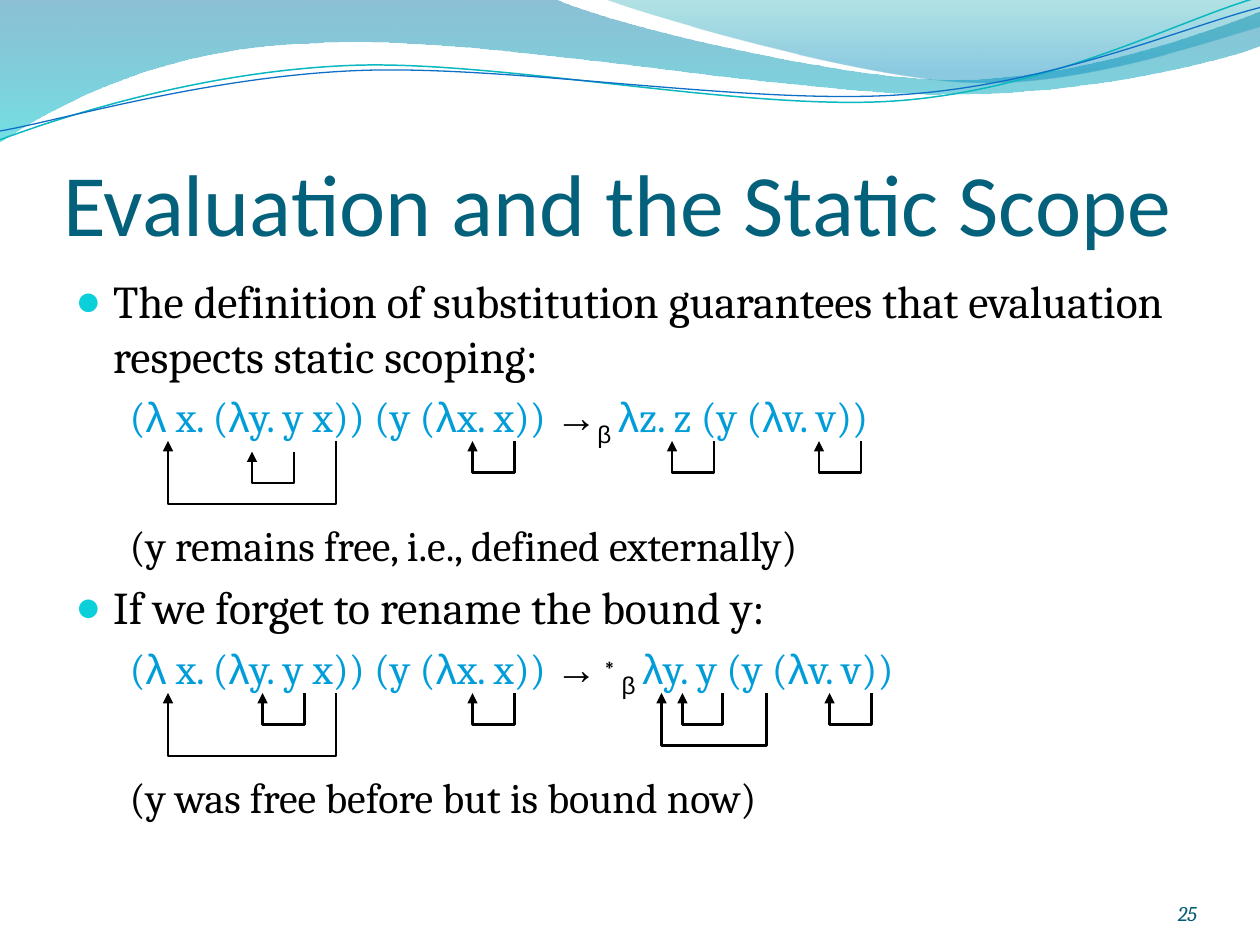
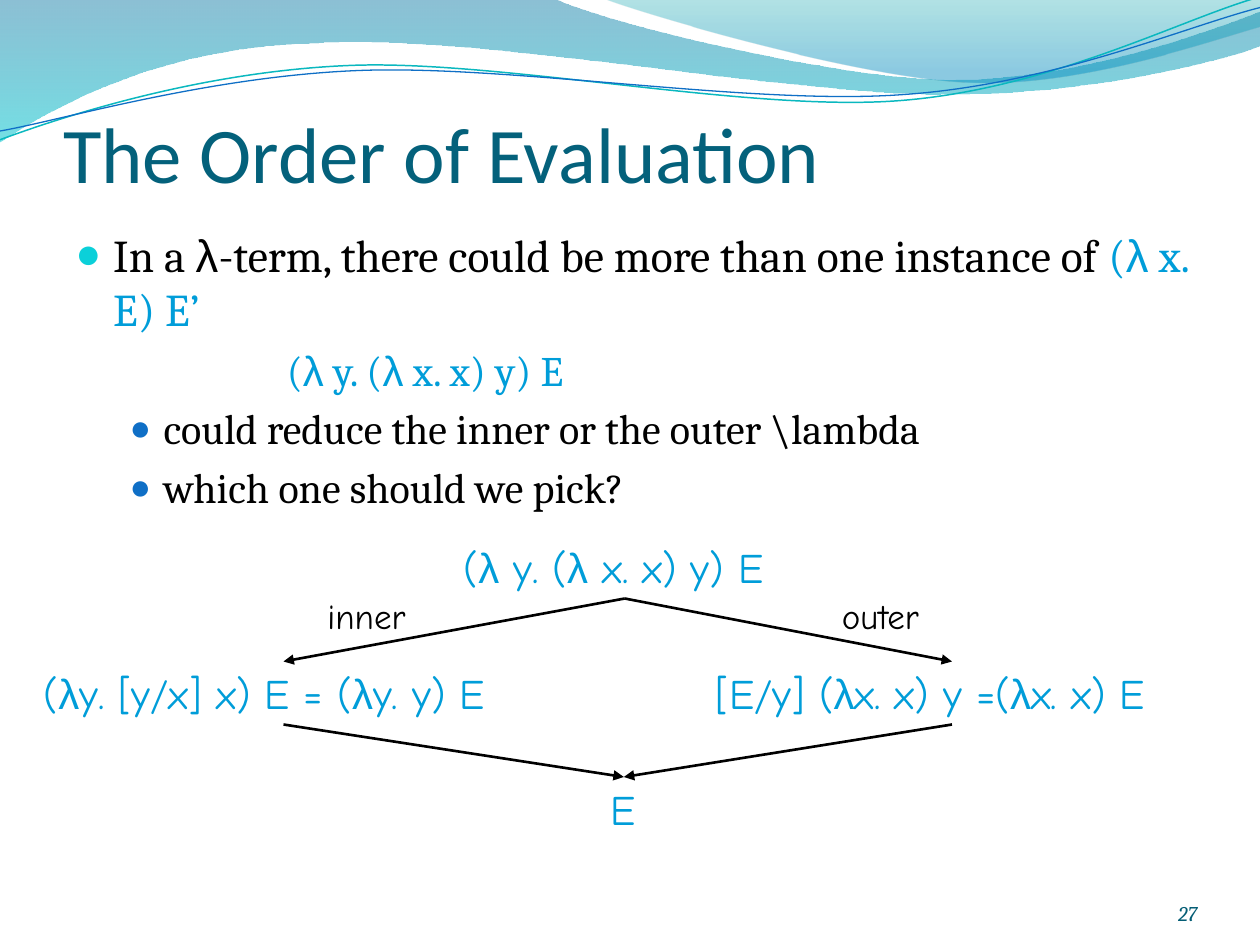
from dataclasses import dataclass
from itertools import groupby

from lxml.etree import SubElement
from pptx import Presentation
from pptx.dml.color import RGBColor
from pptx.enum.shapes import MSO_CONNECTOR as Connector
from pptx.enum.text import MSO_ANCHOR as Anchor, MSO_AUTO_SIZE as AutoSize, PP_ALIGN as Align
from pptx.oxml.ns import qn
from pptx.util import Pt


@dataclass(frozen=True)
class Theme:
    black: str = "000000"
    title: str = "04617B"
    number: str = "045D75"
    term: str = "009DD9"
    bullet: str = "0BD0D9"
    sub_bullet: str = "0F6FC6"
    heading_font: str = "Calibri"
    body_font: str = "Cambria"
    symbol_font: str = "Arial"
    diagram_font: str = "Comic Neue"
    point_size: int = 26
    sub_size: int = 24
    label_size: int = 20
    number_size: int = 12
    line_width: float = 1.5


THEME = Theme()
SYMBOLS = "λ→β∗"

LEVELS = {
    "point": {"size": THEME.point_size, "margin": 21.6, "indent": -21.6,
              "bullet": (THEME.bullet, 95), "before": 5.2},
    "sub": {"size": THEME.sub_size, "margin": 50.4, "indent": -19.44,
            "bullet": (THEME.sub_bullet, 85), "before": 4.8},
    "term": {"size": THEME.sub_size, "margin": 50.4, "indent": -19.44,
             "bullet": None, "before": 4.8},
    "deep term": {"size": THEME.sub_size, "margin": 120.8, "indent": 0,
                  "bullet": None, "before": 4.8},
    "remark": {"size": THEME.sub_size, "margin": 50.4, "indent": -19.44,
               "bullet": None, "before": 41},
}

STYLES = {
    "plain": (THEME.body_font, THEME.black, 0),
    "term": (THEME.body_font, THEME.term, 0),
    "upper": (THEME.symbol_font, THEME.black, 30),
    "lower": (THEME.symbol_font, THEME.black, -25),
}

WAVE_FILLS = [
    {"start": (0, 0), "stops": [(0, "0074A1", 45), (1, "00C6CF", 55)],
     "segments": [
         [(316.8, -0.7)],
         [(342.7, 12.2), (478.1, 45.4), (545.8, 45.4)],
         [(614.2, 45.4), (689.8, 18.7), (720, 6.5)],
         [(720.7, 25.9)],
         [(708, 31.7), (626.4, 54.7), (537.1, 54)],
         [(447.8, 54), (275, 20.2), (185, 24.5)],
         [(92.9, 25.9), (33.1, 59.8), (-0.7, 81.4)]]},
    {"start": (344.9, -0.7), "stops": [(0, "00A1A9", 30), (0.8, "008BBF", 45)],
     "segments": [
         [(366.5, 7.9), (491, 44.6), (553.7, 46.8)],
         [(616.3, 49.7), (691.9, 23), (720, 15.1)],
         [(720, 0)]]},
]
WAVE_TILT = 357.3
WAVE_LINES = [
    {"start": (-1.4, 62.9), "color": "0AB8BF", "width": 0.85,
     "segments": [
         [(33.8, 51.7), (114.1, 29.4), (199.8, 29.9)],
         [(284.8, 30.3), (425.9, 67.3), (512.5, 64.8)],
         [(599.1, 62.4), (676.5, 25.7), (720.2, 15.6)]]},
    {"start": (-1.1, 57.9), "color": "0F6FC6", "width": 0.75,
     "segments": [
         [(32.9, 53.7), (118.3, 32.5), (204.1, 33)],
         [(290.5, 33.4), (428.9, 63.8), (515.5, 61.4)],
         [(601.4, 59.6), (678.4, 30.1), (721.4, 21.3)]]},
]

REDEX = ("(λ x. (λy. y x)) (y (λx. x)) ", "term")
SCOPE = {
    "title": "Evaluation and the Static Scope", "title_size": 50, "title_height": 90,
    "number": "25", "body_box": (36, 152.64, 648, 345.6),
    "body": [
        ("point", [("The definition of substitution guarantees that evaluation "
                    "respects static scoping:", "plain")]),
        ("term", [REDEX, ("→", "plain"), ("β ", "lower"), ("λz. z (y (λv. v))", "term")]),
        ("remark", [("(y remains free, i.e., defined externally)", "plain")]),
        ("point", [("If we forget to rename the bound y:", "plain")]),
        ("term", [REDEX, ("→", "plain"), ("∗", "upper"), ("β ", "lower"),
                  ("λy. y (y (λv. v))", "term")]),
        ("remark", [("(y was free before but is bound now)", "plain")]),
    ],
}
BINDINGS = [
    (96, 252, 96, 36), (144, 258, 24, 18), (270, 252, 24, 18),
    (384, 252, 24, 18), (468, 252, 24, 18),
    (96, 396, 96, 36), (150, 396, 24, 18), (270, 396, 24, 18),
    (378, 396, 60, 30), (390, 396, 23, 18), (474, 396, 24, 18),
]

ORDER = {
    "title": "The Order of Evaluation", "title_size": 45, "title_height": 58.32,
    "number": "27", "body_box": (36, 126, 653.76, 180),
    "body": [
        ("point", [("In a λ-term, there could be more than one instance of ", "plain"),
                   ("(λ x. E) E’", "term")]),
        ("deep term", [("(λ y. (λ x. x) y) E", "term")]),
        ("sub", [("could reduce the inner or the outer \\lambda", "plain")]),
        ("sub", [("which one should we pick?", "plain")]),
    ],
}
REDUCTIONS = [
    ("(λ y. (λ x. x) y) E", (258, 306, 198.7, 36)),
    ("(λy. [y/x] x) E = (λy. y) E", (18, 378, 288.7, 36)),
    ("[E/y] (λx. x) y =(λx. x) E", (402, 378, 284.4, 36)),
    ("E", (342, 444, 29.5, 36)),
]
CHOICES = [("inner", (180, 336, 61.9, 31)), ("outer", (474, 336, 65.5, 31))]
BRANCH_XS = (162, 544)
BRANCH_TOP, BRANCH_END = (357, 342), 378
JOIN_START, JOIN_END = 414, (356.5, 444)


def set_all(target, **values):
    for name, value in values.items():
        setattr(target, name, value)


def rgb(code):
    return RGBColor.from_string(code)


def write(para, text, font, size, color, baseline=0, italic=False):
    for name, chars in groupby(text, lambda char: THEME.symbol_font if char in SYMBOLS else font):
        span = para.add_run()
        span.text = "".join(chars)
        set_all(span.font, name=name, size=Pt(size), italic=italic)
        span.font.color.rgb = rgb(color)
        if baseline:
            span._r.get_or_add_rPr().set("baseline", str(baseline * 1000))


def place(shape, left, top, width, height):
    set_all(shape, left=Pt(left), top=Pt(top), width=Pt(width), height=Pt(height))


def add_text_box(page, area, **frame_values):
    box = page.shapes.add_textbox(*map(Pt, area))
    set_all(box.text_frame, **{"word_wrap": True, **frame_values})
    return box.text_frame


def add_outline(page, points, close):
    start, *rest = [(Pt(x), Pt(y)) for x, y in points]
    builder = page.shapes.build_freeform(*start)
    builder.add_line_segments(rest, close=close)
    shape = builder.convert_to_shape()
    shape.shadow.inherit = False
    return shape


def stroke(shape, color, width, arrow_end=None):
    shape.line.color.rgb = rgb(color)
    shape.line.width = Pt(width)
    if arrow_end:
        SubElement(shape.line._get_or_add_ln(), qn(f"a:{arrow_end}"), type="triangle")


def add_wave(page, wave, close):
    points = [wave["start"], *(point for segment in wave["segments"] for point in segment)]
    shape = add_outline(page, points, close)
    steps = iter(list(shape._element.iter(qn("a:lnTo"))))
    for segment in wave["segments"]:
        first, *others = [next(steps) for _ in segment]
        if others:
            first.tag = qn("a:cubicBezTo")
            for other in others:
                first.append(other[0])
                other.getparent().remove(other)
    return shape


def add_waves(page):
    shapes = []
    for wave in WAVE_FILLS:
        shape = add_wave(page, wave, True)
        shape.line.fill.background()
        shape.fill.gradient()
        shape.fill.gradient_angle = 270
        for stop, (position, color, alpha) in zip(shape.fill.gradient_stops, wave["stops"]):
            stop.position = position
            stop.color.rgb = rgb(color)
            for node in stop._gs.iter(qn("a:srgbClr")):
                SubElement(node, qn("a:alpha"), val=str(alpha * 1000))
        shapes.append(shape)
    for wave in WAVE_LINES:
        shape = add_wave(page, wave, False)
        shape.rotation = WAVE_TILT
        shape.fill.background()
        stroke(shape, wave["color"], wave["width"])
        shapes.append(shape)
    return shapes


def share_waves(page):
    layout_tree = page.slide_layout.shapes._spTree
    for shape in add_waves(page):
        layout_tree.append(shape._element)


def format_level(para, level, is_first):
    props = para._p.get_or_add_pPr()
    props.set("marL", str(Pt(level["margin"])))
    props.set("indent", str(Pt(level["indent"])))
    if level["bullet"]:
        color, percent = level["bullet"]
        SubElement(SubElement(props, qn("a:buClr")), qn("a:srgbClr"), val=color)
        SubElement(props, qn("a:buSzPct"), val=str(percent * 1000))
        SubElement(props, qn("a:buFont"), typeface=THEME.symbol_font)
        SubElement(props, qn("a:buChar"), char="●")
    else:
        SubElement(props, qn("a:buNone"))
    para.space_before = Pt(0 if is_first else level["before"])


def add_page(deck, content):
    page = deck.slides.add_slide(deck.slide_layouts[5])

    title = page.shapes.title
    place(title, 36, 55.44, 648, content["title_height"])
    set_all(title.text_frame, word_wrap=True, auto_size=AutoSize.NONE,
            vertical_anchor=Anchor.BOTTOM, margin_left=0, margin_top=Pt(3.6),
            margin_right=0, margin_bottom=0)
    heading = title.text_frame.paragraphs[0]
    heading.alignment = Align.LEFT
    write(heading, content["title"], THEME.heading_font, content["title_size"], THEME.title)

    frame = add_text_box(page, content["body_box"])
    for index, (level_name, spans) in enumerate(content["body"]):
        para = frame.add_paragraph() if index else frame.paragraphs[0]
        level = LEVELS[level_name]
        format_level(para, level, index == 0)
        for text, style in spans:
            font, color, baseline = STYLES[style]
            write(para, text, font, level["size"], color, baseline)

    footer = add_text_box(page, (624, 500.4, 60, 28.8), vertical_anchor=Anchor.BOTTOM,
                          margin_left=0, margin_top=0, margin_right=0, margin_bottom=0)
    footer.paragraphs[0].alignment = Align.RIGHT
    write(footer.paragraphs[0], content["number"], THEME.body_font, THEME.number_size,
          THEME.number, italic=True)
    return page


def add_binding(page, left, top, width, drop):
    right, bottom = left + width, top + drop
    shape = add_outline(page, [(left, top), (left, bottom), (right, bottom), (right, top)], False)
    shape.fill.background()
    stroke(shape, THEME.black, THEME.line_width, "headEnd")


def add_arrow(page, start, end):
    arrow = page.shapes.add_connector(Connector.STRAIGHT, *map(Pt, (*start, *end)))
    stroke(arrow, THEME.black, THEME.line_width, "tailEnd")
    SubElement(arrow._element.spPr, qn("a:effectLst"))


def add_reduction_tree(page):
    for labels, size, color in ((REDUCTIONS, THEME.sub_size, THEME.term),
                                (CHOICES, THEME.label_size, THEME.black)):
        for text, area in labels:
            frame = add_text_box(page, area, word_wrap=False,
                                 auto_size=AutoSize.SHAPE_TO_FIT_TEXT)
            write(frame.paragraphs[0], text, THEME.diagram_font, size, color)
    for x in BRANCH_XS:
        add_arrow(page, BRANCH_TOP, (x, BRANCH_END))
        add_arrow(page, (x, JOIN_START), JOIN_END)


def main():
    deck = Presentation()
    set_all(deck, slide_width=Pt(720), slide_height=Pt(540))
    scope_page = add_page(deck, SCOPE)
    share_waves(scope_page)
    for binding in BINDINGS:
        add_binding(scope_page, *binding)
    add_reduction_tree(add_page(deck, ORDER))
    deck.save("out.pptx")


if __name__ == "__main__":
    main()
